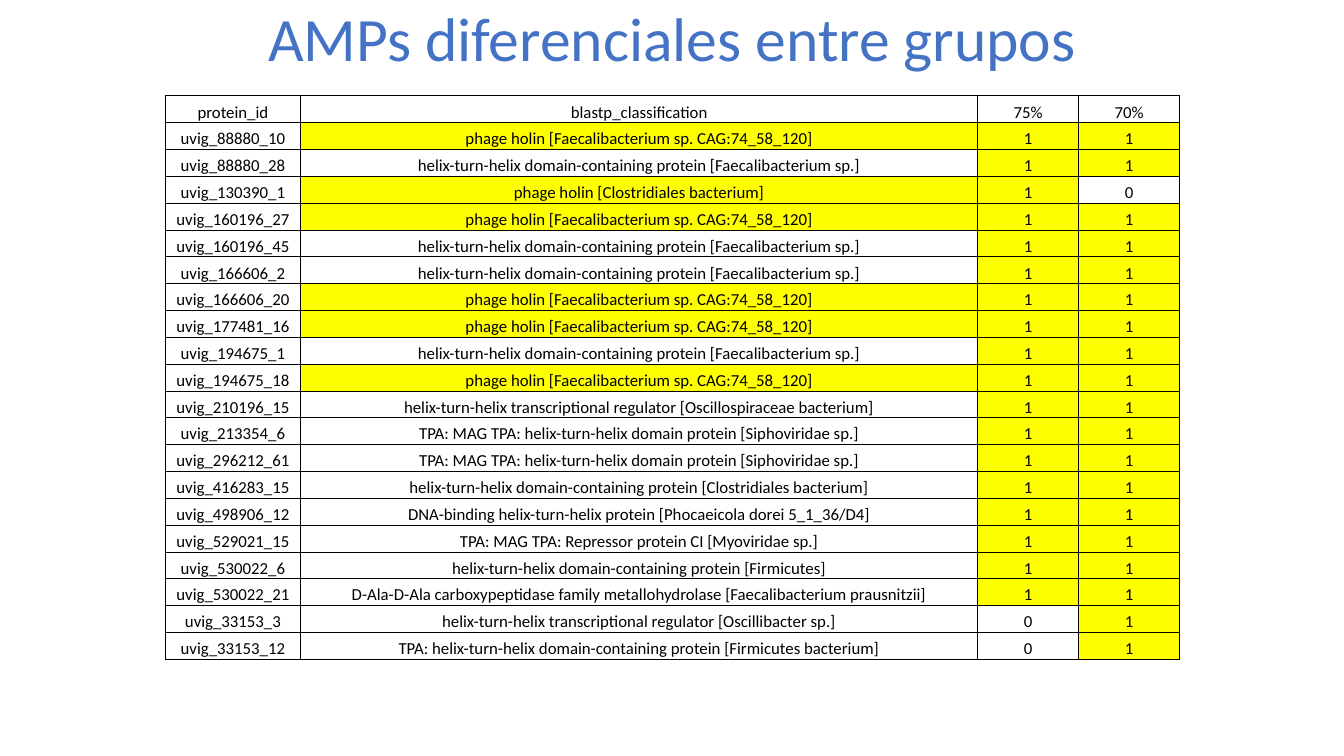
from lxml import etree
from pptx import Presentation
from pptx import util as u
from pptx.dml import color
from pptx.enum import text
from pptx.oxml import ns

FONT = "Calibri"
HOLIN = "phage holin [Faecalibacterium sp. CAG:74_58_120]"
HTH = "helix-turn-helix domain-containing protein [Faecalibacterium sp.]"
SIPHO = "TPA: MAG TPA: helix-turn-helix domain protein [Siphoviridae sp.]"
ROWS = [
    ("protein_id", "blastp_classification", "75%", "70%"),
    ("uvig_88880_10", HOLIN, "1", "1"),
    ("uvig_88880_28", HTH, "1", "1"),
    ("uvig_130390_1", "phage holin [Clostridiales bacterium]", "1", "0"),
    ("uvig_160196_27", HOLIN, "1", "1"),
    ("uvig_160196_45", HTH, "1", "1"),
    ("uvig_166606_2", HTH, "1", "1"),
    ("uvig_166606_20", HOLIN, "1", "1"),
    ("uvig_177481_16", HOLIN, "1", "1"),
    ("uvig_194675_1", HTH, "1", "1"),
    ("uvig_194675_18", HOLIN, "1", "1"),
    ("uvig_210196_15", "helix-turn-helix transcriptional regulator [Oscillospiraceae bacterium]", "1", "1"),
    ("uvig_213354_6", SIPHO, "1", "1"),
    ("uvig_296212_61", SIPHO, "1", "1"),
    ("uvig_416283_15", "helix-turn-helix domain-containing protein [Clostridiales bacterium]", "1", "1"),
    ("uvig_498906_12", "DNA-binding helix-turn-helix protein [Phocaeicola dorei 5_1_36/D4]", "1", "1"),
    ("uvig_529021_15", "TPA: MAG TPA: Repressor protein CI [Myoviridae sp.]", "1", "1"),
    ("uvig_530022_6", "helix-turn-helix domain-containing protein [Firmicutes]", "1", "1"),
    ("uvig_530022_21", "D-Ala-D-Ala carboxypeptidase family metallohydrolase [Faecalibacterium prausnitzii]", "1", "1"),
    ("uvig_33153_3", "helix-turn-helix transcriptional regulator [Oscillibacter sp.]", "0", "1"),
    ("uvig_33153_12", "TPA: helix-turn-helix domain-containing protein [Firmicutes bacterium]", "0", "1"),
]


def rgb(value):
    """Turn a hex string into a colour."""
    return color.RGBColor.from_string(value)


def add_run(p, words, size, hex_color):
    """Add one formatted run to a centred paragraph."""
    p.alignment = text.PP_ALIGN.CENTER
    r = p.add_run()
    r.text = words
    r.font.name = FONT
    r.font.size = u.Pt(size)
    r.font.color.rgb = rgb(hex_color)


def add_borders(cell, hex_color, width):
    """Draw a solid line on all four sides of a cell."""
    tc_pr = cell._tc.get_or_add_tcPr()
    for side in ("a:lnL", "a:lnR", "a:lnT", "a:lnB"):
        ln = etree.SubElement(tc_pr, ns.qn(side), w=str(u.Pt(width)))
        solid = etree.SubElement(ln, ns.qn("a:solidFill"))
        etree.SubElement(solid, ns.qn("a:srgbClr"), val=hex_color)


def format_cell(cell, words):
    """Write a cell, highlighting phage holins and presence values."""
    cell.margin_left = cell.margin_right = cell.margin_top = u.Inches(0.01)
    cell.margin_bottom = 0
    cell.vertical_anchor = text.MSO_ANCHOR.BOTTOM
    add_run(cell.text_frame.paragraphs[0], words, 12, "000000")
    add_borders(cell, "000000", 0.5)
    if words == "1" or words.startswith("phage holin"):
        cell.fill.solid()
        cell.fill.fore_color.rgb = rgb("FFFF00")
    else:
        cell.fill.background()


def add_title(s, left, top, width, height):
    """Place the slide title in the given box."""
    sp = s.shapes.title
    sp.left, sp.top = u.Inches(left), u.Inches(top)
    sp.width, sp.height = u.Inches(width), u.Inches(height)
    tf = sp.text_frame
    tf.word_wrap = True
    tf.auto_size = text.MSO_AUTO_SIZE.NONE
    tf.vertical_anchor = text.MSO_ANCHOR.MIDDLE
    p = tf.paragraphs[0]
    p.line_spacing = 0.9
    add_run(p, "AMPs diferenciales entre grupos", 44, "4472C4")


def add_protein_table(s, left, top, width, height):
    """Fill the given box with the protein table."""
    table = s.shapes.add_table(
        len(ROWS), len(ROWS[0]), u.Inches(left), u.Inches(top), u.Inches(width), u.Inches(height)
    ).table
    table.first_row = table.horz_banding = False
    shares = (1.34, 6.71, 1, 1)
    for column, share in zip(table.columns, shares):
        column.width = u.Inches(width * share / sum(shares))
    for i, row in enumerate(ROWS):
        table.rows[i].height = u.Inches(height / len(ROWS))
        for j, words in enumerate(row):
            format_cell(table.cell(i, j), words)


def main():
    """Build and save the slide."""
    prs = Presentation()
    prs.slide_width, prs.slide_height = u.Inches(13.33), u.Inches(7.5)
    s = prs.slides.add_slide(prs.slide_layouts[5])
    add_title(s, 0.01, 0, 13.32, 0.83)
    add_protein_table(s, 1.64, 0.95, 10.06, 5.59)
    prs.save("out.pptx")


if __name__ == "__main__":
    main()
